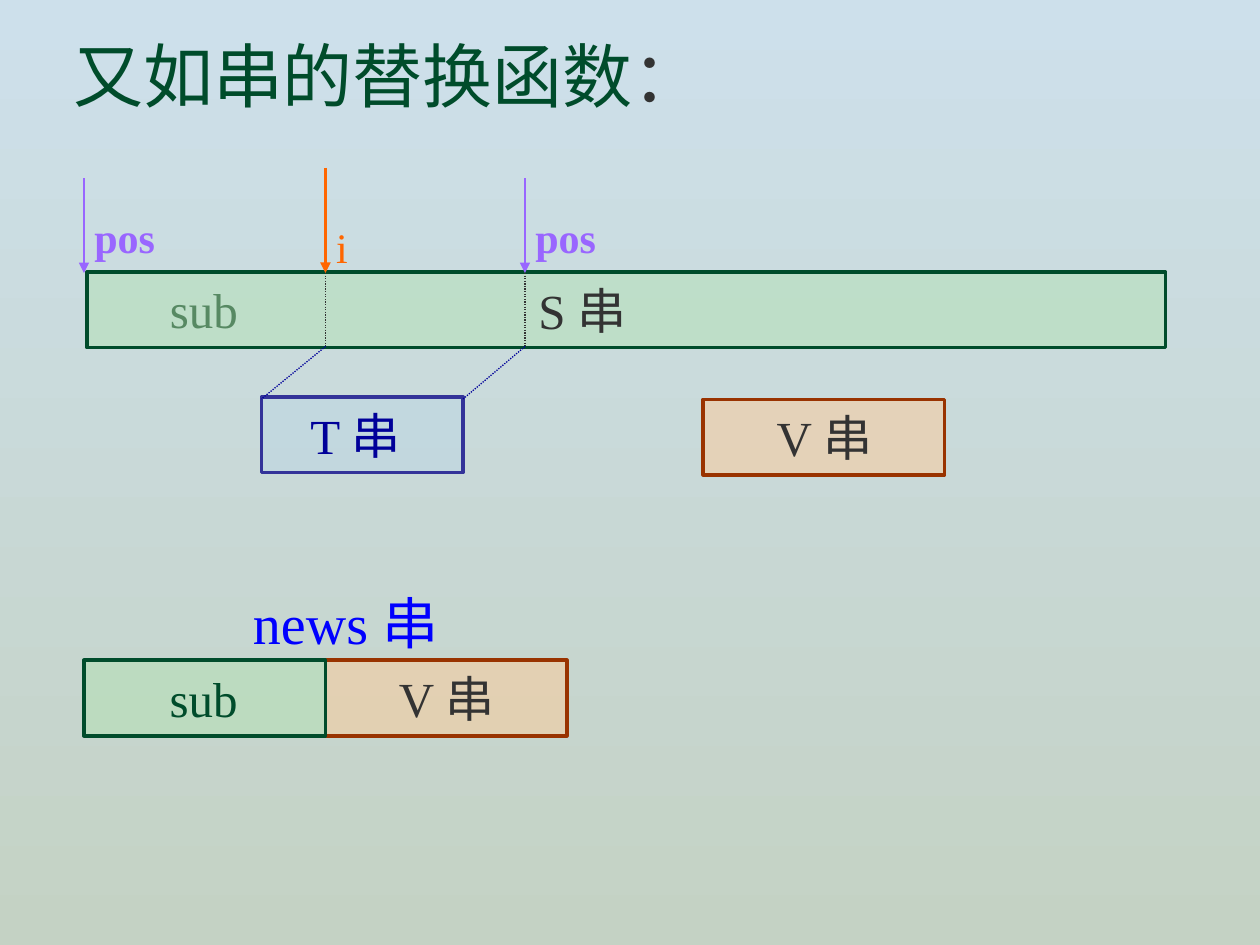
"""Build the slide that explains the string replacement function."""
from dataclasses import dataclass

import pptx
import pptx.dml.color
import pptx.enum.dml
import pptx.enum.shapes
import pptx.enum.text
import pptx.oxml
import pptx.oxml.ns
import pptx.slide
import pptx.text.text
import pptx.util

Pt = pptx.util.Pt
RGBColor = pptx.dml.color.RGBColor
Anchor = pptx.enum.text.MSO_ANCHOR

FONT = "Times New Roman"
SKY = RGBColor(0xCD, 0xE0, 0xEB)
SAGE = RGBColor(0xC4, 0xD2, 0xC4)
DARK_GREEN = RGBColor(0x00, 0x4C, 0x2B)
MUTED_GREEN = RGBColor(0x57, 0x89, 0x63)
LIGHT_GREEN = RGBColor(0xB3, 0xE1, 0xB3)
CHARCOAL = RGBColor(0x33, 0x33, 0x33)
INDIGO = RGBColor(0x33, 0x33, 0x99)
NAVY = RGBColor(0x00, 0x00, 0x99)
LIGHT_BLUE = RGBColor(0xBD, 0xD7, 0xE5)
BROWN = RGBColor(0x99, 0x33, 0x00)
PEACH = RGBColor(0xFF, 0xCC, 0x99)
PURPLE = RGBColor(0x99, 0x66, 0xFF)
ORANGE = RGBColor(0xFF, 0x66, 0x00)
BLUE = RGBColor(0x00, 0x00, 0xFF)

BOX_HEIGHT = 43.2
S_TOP, S_BOTTOM = 156, 198
POS_START, MATCH_START, MATCH_END = 48, 186, 300
T_LEFT, T_WIDTH, T_TOP = 149.4, 115.2, 228
RESULT_TOP, PART_WIDTH = 377.3, 138


@dataclass(frozen=True)
class StringBox:
    text: str
    left: float
    top: float
    width: float
    indent: float
    fill: RGBColor
    line: RGBColor
    color: RGBColor = CHARCOAL


@dataclass(frozen=True)
class Label:
    text: str
    left: float
    top: float
    width: float
    height: float
    size: float
    color: RGBColor
    bold: bool = False
    wrap: bool = False


@dataclass(frozen=True)
class Line:
    start: tuple[float, float]
    end: tuple[float, float]
    color: RGBColor
    width: float = 0.75
    arrow: bool = False


BOXES = (
    StringBox("S 串", 49.7, 155.5, 616.3, 258, LIGHT_GREEN, DARK_GREEN),
    StringBox("T 串", T_LEFT, 226.8, T_WIDTH, 28, LIGHT_BLUE, INDIGO, NAVY),
    StringBox("V 串", 401.8, 228.2, PART_WIDTH, 42, PEACH, BROWN),
    StringBox("V 串", MATCH_START, RESULT_TOP, PART_WIDTH, 42, PEACH, BROWN),
    StringBox("sub", POS_START, RESULT_TOP, PART_WIDTH, 49, LIGHT_GREEN, DARK_GREEN, DARK_GREEN),
)
LINES = (
    *(Line((x, S_TOP), (x, S_BOTTOM), CHARCOAL) for x in (MATCH_START, MATCH_END)),
    Line((MATCH_START, S_BOTTOM), (T_LEFT, T_TOP), NAVY),
    Line((MATCH_END, S_BOTTOM), (T_LEFT + T_WIDTH, T_TOP), NAVY),
    *(Line((x, 102), (x, S_TOP), PURPLE, arrow=True) for x in (POS_START, MATCH_END)),
    Line((MATCH_START, 96), (MATCH_START, S_TOP), ORANGE, 2, True),
)
LABELS = (
    *(Label("pos", x - 1.2, 117.4, 49, 36, 24, PURPLE, bold=True) for x in (POS_START, MATCH_END)),
    Label("i", MATCH_START - 1, 123.1, 20.9, 36, 24, ORANGE),
    Label("news 串", 137.5, 332.6, 120.2, 45.4, 32, BLUE, wrap=True),
    Label("sub", 90, 156.2, 53.3, 41, 28, MUTED_GREEN),
)


def format_run(run: pptx.text.text._Run, size: float, color: RGBColor, bold: bool = False) -> None:
    run.font.name = FONT
    run.font.size = Pt(size)
    run.font.bold = bold
    run.font.color.rgb = color


def draw_background(slide: pptx.slide.Slide) -> None:
    fill = slide.background.fill
    fill.gradient()
    fill.gradient_angle = 270
    for stop, color in zip(fill.gradient_stops, (SKY, SAGE)):
        stop.color.rgb = color


def draw_title(slide: pptx.slide.Slide) -> None:
    title = slide.shapes.title
    title.left, title.top, title.width, title.height = Pt(34.6), Pt(15.1), Pt(378), Pt(55.4)
    text_frame = title.text_frame
    text_frame.vertical_anchor = Anchor.TOP
    text_frame.word_wrap = False
    text_frame.auto_size = pptx.enum.text.MSO_AUTO_SIZE.NONE
    paragraph = text_frame.paragraphs[0]
    paragraph.alignment = pptx.enum.text.PP_ALIGN.LEFT
    for text, color in (("又如串的替换函数", DARK_GREEN), ("：", CHARCOAL)):
        run = paragraph.add_run()
        run.text = text
        format_run(run, 40, color)


def draw_box(slide: pptx.slide.Slide, box: StringBox) -> None:
    shape = slide.shapes.add_shape(
        pptx.enum.shapes.MSO_SHAPE.RECTANGLE,
        Pt(box.left), Pt(box.top), Pt(box.width), Pt(BOX_HEIGHT),
    )
    shape.shadow.inherit = False
    shape.fill.solid()
    shape.fill.fore_color.rgb = box.fill
    color = shape.fill._xPr.find(".//" + pptx.oxml.ns.qn("a:srgbClr"))
    pptx.oxml.ns.qn("a:alpha")
    color.append(pptx.oxml.parse_xml(f'<a:alpha {pptx.oxml.ns.nsdecls("a")} val="50000"/>'))
    shape.line.color.rgb = box.line
    shape.line.width = Pt(2)
    text_frame = shape.text_frame
    text_frame.text = box.text
    text_frame.margin_left = Pt(box.indent)
    text_frame.vertical_anchor = Anchor.MIDDLE
    paragraph = text_frame.paragraphs[0]
    paragraph.alignment = pptx.enum.text.PP_ALIGN.LEFT
    format_run(paragraph.runs[0], 28, box.color)


def draw_line(slide: pptx.slide.Slide, line: Line) -> None:
    connector = slide.shapes.add_connector(
        pptx.enum.shapes.MSO_CONNECTOR.STRAIGHT, *map(Pt, line.start + line.end)
    )
    connector.line.color.rgb = line.color
    connector.line.width = Pt(line.width)
    namespace = pptx.oxml.ns.nsdecls("a")
    if line.arrow:
        outline = connector.line._get_or_add_ln()
        outline.append(pptx.oxml.parse_xml(f'<a:tailEnd {namespace} type="triangle"/>'))
    else:
        connector.line.dash_style = pptx.enum.dml.MSO_LINE.ROUND_DOT
    connector._element.spPr.append(pptx.oxml.parse_xml(f"<a:effectLst {namespace}/>"))


def draw_label(slide: pptx.slide.Slide, label: Label) -> None:
    text_box = slide.shapes.add_textbox(
        Pt(label.left), Pt(label.top), Pt(label.width), Pt(label.height)
    )
    text_frame = text_box.text_frame
    text_frame.text = label.text
    text_frame.word_wrap = label.wrap
    format_run(text_frame.paragraphs[0].runs[0], label.size, label.color, label.bold)


def main() -> None:
    presentation = pptx.Presentation()
    presentation.slide_width, presentation.slide_height = Pt(720), Pt(540)
    slide = presentation.slides.add_slide(presentation.slide_layouts.get_by_name("Title Only"))
    draw_background(slide)
    draw_title(slide)
    for box in BOXES:
        draw_box(slide, box)
    for line in LINES:
        draw_line(slide, line)
    for label in LABELS:
        draw_label(slide, label)
    presentation.save("out.pptx")


main()
